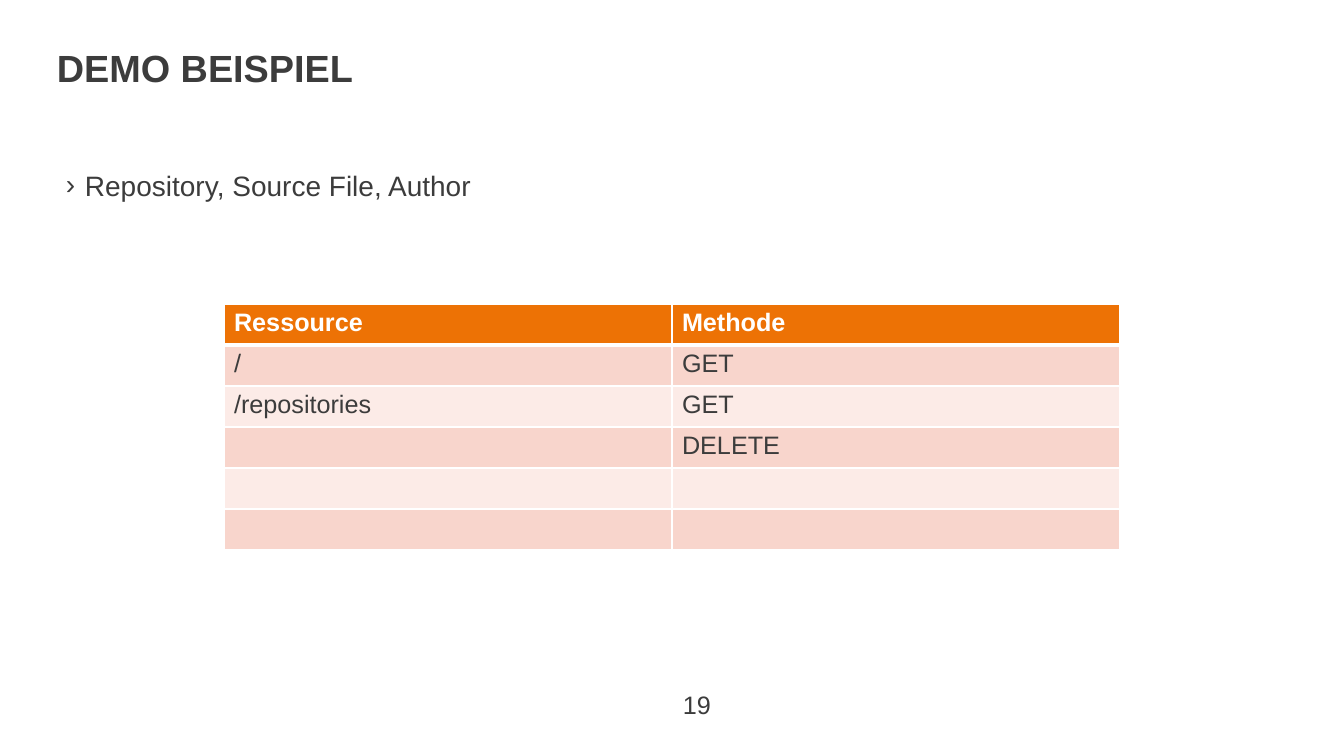
from lxml import etree
from pptx import Presentation
from pptx.dml.color import RGBColor
from pptx.enum.text import MSO_ANCHOR
from pptx.oxml.ns import qn
from pptx.util import Emu, Pt

# Content
TITLE = "DEMO BEISPIEL"
BULLET = "Repository, Source File, Author"
PAGE_NUMBER = "19"
METHODS = [
    ("Ressource", "Methode"),
    ("/", "GET"),
    ("/repositories", "GET"),
    ("", "DELETE"),
    ("", ""),
    ("", ""),
]

# Style
FONT = "Arial"
DARK = RGBColor(0x3C, 0x3C, 0x3C)
WHITE = RGBColor(0xFF, 0xFF, 0xFF)
ORANGE = RGBColor(0xED, 0x72, 0x05)
BANDS = (RGBColor(0xFC, 0xEB, 0xE7), RGBColor(0xF8, 0xD5, 0xCC))
MIDDLE = MSO_ANCHOR.MIDDLE
TOP = MSO_ANCHOR.TOP

# Layout in px
SLIDE_W, SLIDE_H = 1344, 756
TABLE_X, TABLE_Y, COLUMN_W, ROW_H = 224, 304, 448, 41
BULLET_INDENT = 19


def px(length):
    return Emu(round(length * 914400 / 100.8))


def style_runs(paragraph, size, color=DARK, bold=False):
    for run in paragraph.runs:
        run.font.name = FONT
        run.font.size = Pt(size)
        run.font.bold = bold
        run.font.color.rgb = color


def add_text(slide, text, box, size, bold=False, anchor=TOP):
    frame = slide.shapes.add_textbox(*map(px, box)).text_frame
    frame.word_wrap = True
    frame.vertical_anchor = anchor
    paragraph = frame.paragraphs[0]
    paragraph.text = text
    style_runs(paragraph, size, bold=bold)
    return paragraph


def add_bullet(paragraph, symbol):
    properties = paragraph._p.get_or_add_pPr()
    properties.set("marL", str(px(BULLET_INDENT)))
    properties.set("indent", str(-px(BULLET_INDENT)))
    etree.SubElement(properties, qn("a:buFont"), typeface=FONT)
    etree.SubElement(properties, qn("a:buChar"), char=symbol)


def add_borders(cell, widths):
    properties = cell._tc.get_or_add_tcPr()
    for side, width in widths.items():
        line = etree.SubElement(properties, qn(f"a:ln{side}"), w=str(Pt(width)))
        fill = etree.SubElement(line, qn("a:solidFill"))
        etree.SubElement(fill, qn("a:srgbClr"), val=str(WHITE))


def add_methods_table(slide):
    row_count, column_count = len(METHODS), len(METHODS[0])
    table = slide.shapes.add_table(
        row_count, column_count, px(TABLE_X), px(TABLE_Y),
        px(COLUMN_W * column_count), px(ROW_H * row_count)).table
    for column in table.columns:
        column.width = px(COLUMN_W)
    for row_index, values in enumerate(METHODS):
        table.rows[row_index].height = px(ROW_H)
        header = row_index == 0
        # The line under the header is thicker than the others
        borders = {"L": 1, "R": 1, "T": 3 if row_index == 1 else 1,
                   "B": 3 if header else 1}
        for column_index, value in enumerate(values):
            cell = table.cell(row_index, column_index)
            add_borders(cell, borders)
            cell.fill.solid()
            cell.fill.fore_color.rgb = ORANGE if header else BANDS[row_index % 2]
            if value:
                cell.text_frame.text = value
                style_runs(cell.text_frame.paragraphs[0], 18,
                           WHITE if header else DARK, header)


def main():
    presentation = Presentation()
    presentation.slide_width, presentation.slide_height = px(SLIDE_W), px(SLIDE_H)
    slide = presentation.slides.add_slide(presentation.slide_layouts[6])

    # Page number
    add_text(slide, PAGE_NUMBER, (673, 684, 68, 40), 18)

    # Bullet and title
    bullet = add_text(slide, BULLET, (56, 167, 1230, 492), 20)
    add_bullet(bullet, "›")
    bullet.line_spacing = 0.9
    title = add_text(slide, TITLE, (47, 49, 983, 42), 27, True, MIDDLE)
    title.line_spacing = 0.9

    # Resources and methods
    add_methods_table(slide)
    presentation.save("out.pptx")


if __name__ == "__main__":
    main()
